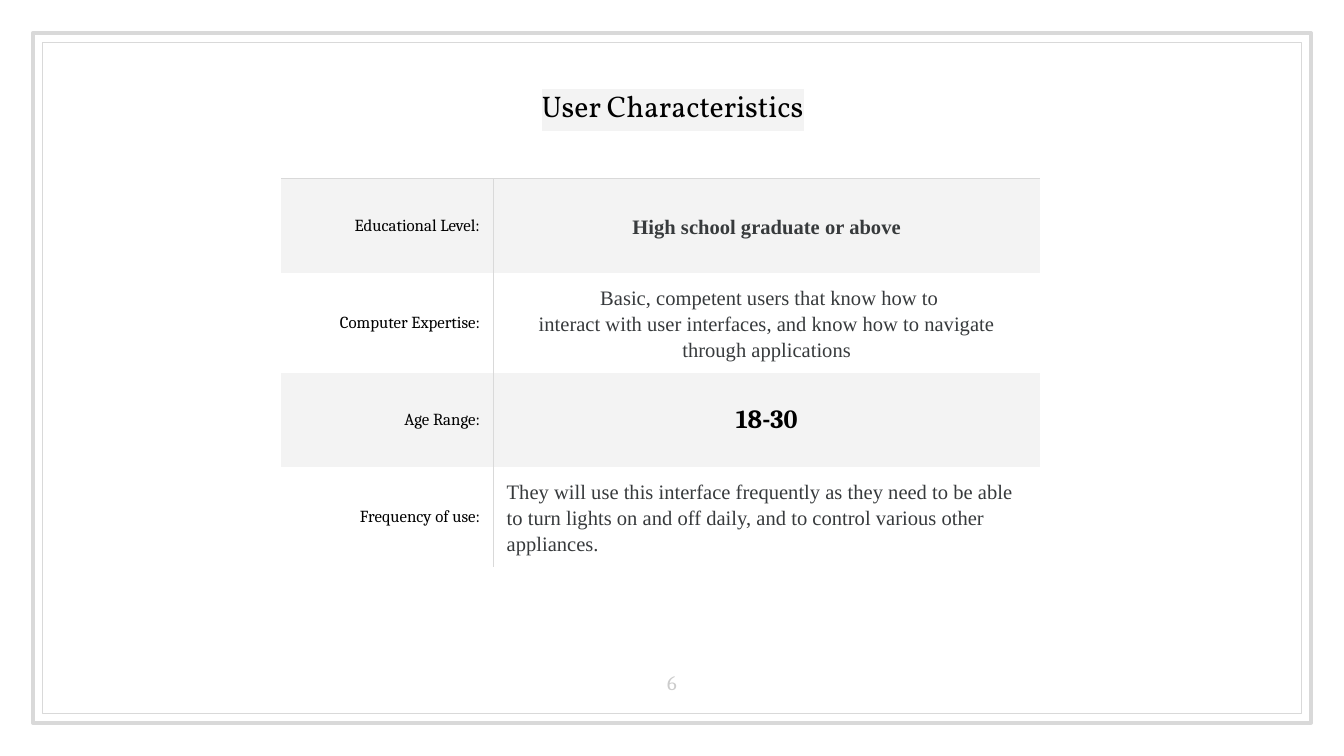
from lxml.etree import SubElement
from pptx import Presentation
from pptx.dml.color import RGBColor
from pptx.enum.shapes import MSO_SHAPE
from pptx.enum.text import MSO_ANCHOR, PP_ALIGN
from pptx.oxml import parse_xml
from pptx.oxml.ns import nsdecls, qn
from pptx.util import Inches, Pt

WIDE, HIGH = 10, 10 * 9 / 16
GRAY, PALE, WHITE = "D9D9D9", "F3F3F3", "FFFFFF"
BLACK, DARK, FAINT = "000000", "373A3C", "CCCCCC"
SERIF, TIMES = "Cambria", "Times New Roman"
PLAIN = "{2D5ABB26-0587-4C30-8999-92F81FD0307C}"
LEFT, MID, RIGHT = PP_ALIGN.LEFT, PP_ALIGN.CENTER, PP_ALIGN.RIGHT

ROWS = [
    ("Educational Level:", "High school graduate or above",
     (TIMES, 11, DARK, MID, True, 1.15)),
    ("Computer Expertise:",
     " Basic, competent users that know how to\n"
     "interact with user interfaces, and know how to navigate through applications",
     (TIMES, 11, DARK, MID, False, 1.15)),
    ("Age Range:", "18-30", (SERIF, 14, BLACK, MID, True)),
    ("Frequency of use:",
     "They will use this interface frequently as they need to be able to turn "
     "lights on and off daily, and to control various other appliances.",
     (TIMES, 11, DARK, LEFT, False, 1.15)),
]


def color(code):
    """Turn a hex string into a colour."""
    return RGBColor.from_string(code)


def write(frame, text, font, size, code, align, bold=False, space=None):
    """Set the text of a frame and format its runs."""
    frame.text = text
    for para in frame.paragraphs:
        para.alignment = align
        if space:
            para.line_spacing = space
        for run in para.runs:
            run.font.name = font
            run.font.size = Pt(size)
            run.font.bold = bold
            run.font.color.rgb = color(code)


def add_frame(slide, width, height, weight):
    """Draw an unfilled border centred on the slide."""
    box = slide.shapes.add_shape(
        MSO_SHAPE.RECTANGLE, Inches((WIDE - width) / 2),
        Inches((HIGH - height) / 2), Inches(width), Inches(height))
    box.shadow.inherit = False
    box.fill.background()
    box.line.color.rgb = color(GRAY)
    box.line.width = Pt(weight)


def add_label(slide, place, anchor, text, *style):
    """Add a centred text box and return its text frame."""
    frame = slide.shapes.add_textbox(*map(Inches, place)).text_frame
    frame.word_wrap = True
    frame.vertical_anchor = anchor
    frame.margin_left = frame.margin_right = Inches(0.1)
    frame.margin_top = frame.margin_bottom = Inches(0.1)
    write(frame, text, *style, MID)
    return frame


def mark(run, code):
    """Put a highlight colour behind a run."""
    fill = run.font._element.find(qn("a:solidFill"))
    fill.addnext(parse_xml(
        f'<a:highlight {nsdecls("a")}><a:srgbClr val="{code}"/></a:highlight>'))


def add_edge(cell, side):
    """Draw a thin gray line on one side of a cell."""
    props = cell._tc.get_or_add_tcPr()
    line = SubElement(props, qn(f"a:ln{side}"), w=str(Pt(0.75)))
    fill = SubElement(line, qn("a:solidFill"))
    SubElement(fill, qn("a:srgbClr"), val=GRAY)


def fill_cell(cell, sides, back, text, *style):
    """Give a cell its edges, fill, margins and text."""
    for side in sides:
        add_edge(cell, side)
    cell.fill.solid()
    cell.fill.fore_color.rgb = color(back)
    cell.vertical_anchor = MSO_ANCHOR.MIDDLE
    cell.margin_left = cell.margin_right = Inches(0.1)
    cell.margin_top = cell.margin_bottom = Pt(4)
    write(cell.text_frame, text, *style)


def add_grid(slide):
    """Add the table of user traits with banded rows."""
    widths = (1.58, 4.07)
    shape = slide.shapes.add_table(
        len(ROWS), len(widths), Inches(2.09), Inches(1.33),
        Inches(sum(widths)), Inches(0.7 * len(ROWS)))
    table = shape.table
    table._tbl.tblPr.find(qn("a:tableStyleId")).text = PLAIN
    for column, width in zip(table.columns, widths):
        column.width = Inches(width)
    for row, (name, value, style) in enumerate(ROWS):
        back = WHITE if row % 2 else PALE
        top = "" if row else "T"
        fill_cell(table.cell(row, 0), "R" + top, back, name,
                  SERIF, 9, BLACK, RIGHT)
        fill_cell(table.cell(row, 1), "L" + top, back, value, *style)


def main():
    """Build the slide and save it."""
    deck = Presentation()
    deck.slide_width, deck.slide_height = Inches(WIDE), Inches(HIGH)
    slide = deck.slides.add_slide(deck.slide_layouts[6])
    add_frame(slide, 9.51, 5.13, 2.25)
    add_frame(slide, 9.37, 4.99, 0.75)
    title = add_label(slide, (0.43, 0.37, 9.15, 0.83), MSO_ANCHOR.MIDDLE,
                      "User Characteristics", "Vollkorn", 16, BLACK)
    mark(title.paragraphs[0].runs[0], PALE)
    add_grid(slide)
    add_label(slide, (4.7, 4.83, 0.6, 0.43), MSO_ANCHOR.BOTTOM,
              "6", SERIF, 11, FAINT)
    deck.save("out.pptx")


if __name__ == "__main__":
    main()
